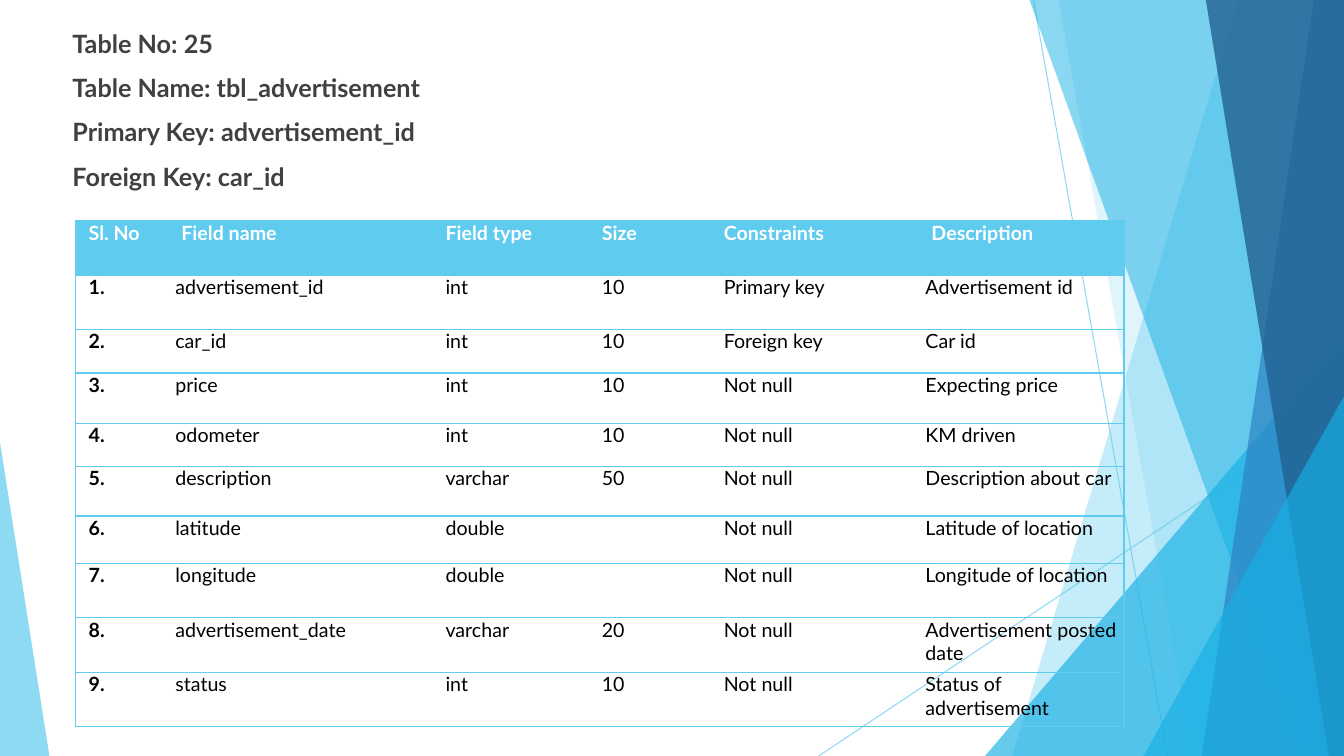
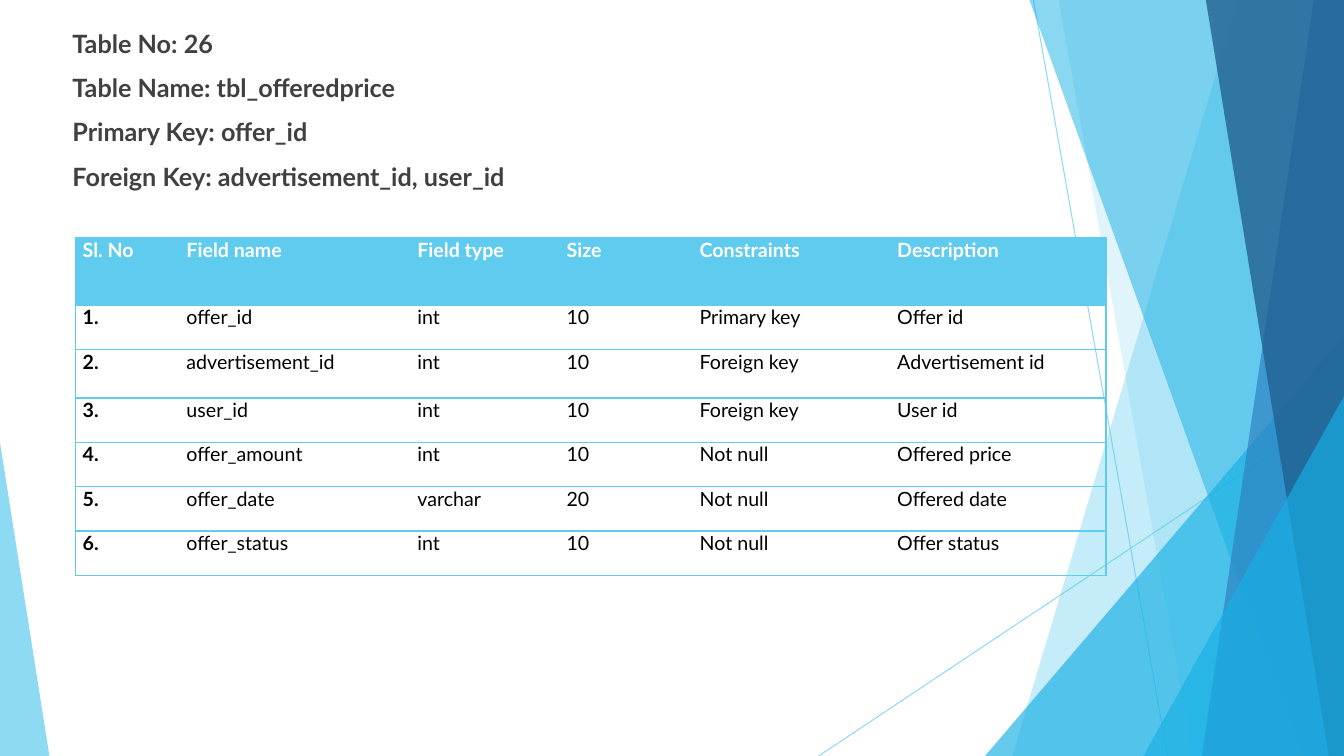
from dataclasses import dataclass

from lxml import etree
from pptx import Presentation
from pptx.dml.color import RGBColor
from pptx.enum.shapes import MSO_CONNECTOR, MSO_SHAPE
from pptx.enum.text import PP_ALIGN
from pptx.oxml.ns import qn
from pptx.util import Inches, Pt

STRAIGHT = MSO_CONNECTOR.STRAIGHT
TRIANGLE = MSO_SHAPE.ISOSCELES_TRIANGLE
LEFT, JUSTIFY = PP_ALIGN.LEFT, PP_ALIGN.JUSTIFY
PLAIN_TABLE_STYLE = "{2D5ABB26-0587-4C30-8999-92F81FD0307C}"
SLIDE_BOX = (0, 0, 13.33, 7.5)
HEADING_BOX = (0.62, 0.23, 11.29, 7.07)
HEADINGS = ("Sl. No", "Field name", "Field type", "Size", "Constraints", "Description")


@dataclass(frozen=True)
class Theme:
    sky: str = "5FCBEF"
    cyan: str = "17B0E4"
    blue: str = "2E83C3"
    navy: str = "226292"
    heading: str = "404040"
    body: str = "000000"
    white: str = "FFFFFF"
    font: str = "Lato"
    heading_size: float = 18
    table_size: float = 14
    paragraph_gap: float = 10
    border: float = 1
    hairline: float = 0.75


THEME = Theme()

# Start and end of each thin line
HAIRLINES = (((10.25, 0), (11.58, 7.5)), ((13.33, 4.03), (8.12, 7.5)))

# Back to front: a ribbon (top x, bottom x) runs to the right edge;
# a triangle (left, top, width, apex) stands on the bottom edge.
FACETS = (
    ("ribbon", (12.28, 10.04), THEME.sky, 36),
    ("ribbon", (10.5, 11.83), THEME.sky, 20),
    ("triangle", (9.77, 3.33, 3.56, 1), THEME.cyan, 66),
    ("ribbon", (10.21, 12.91), THEME.cyan, 50),
    ("ribbon", (13.03, 11.92), THEME.blue, 70),
    ("ribbon", (11.96, 13.18), THEME.navy, 80),
    ("triangle", (11.34, 3.93, 1.99, 1), THEME.cyan, 66),
    ("triangle", (0, 4.39, 0.49, 0), THEME.sky, 70),
)


@dataclass(frozen=True)
class TablePage:
    facts: dict
    box: tuple
    columns: tuple
    row_heights: tuple
    fields: tuple
    heading_indent: float = 0
    body_indents: tuple = (0,) * 6
    body_alignment: int = JUSTIFY


PAGES = (
    TablePage(
        facts={
            "Table No": "25",
            "Table Name": "tbl_advertisement",
            "Primary Key": "advertisement_id",
            "Foreign Key": "car_id",
        },
        box=(0.75, 2.19, 10.41, 5.04),
        columns=(0.92, 2.62, 1.55, 1.21, 2.06, 2.04),
        row_heights=(0.54, 0.54, 0.43, 0.5, 0.43, 0.49, 0.47, 0.54, 0.54, 0.54),
        fields=(
            ("advertisement_id", "int", "10", "Primary key", "Advertisement id"),
            ("car_id", "int", "10", "Foreign key", "Car id"),
            ("price", "int", "10", "Not null", "Expecting price"),
            ("odometer", "int", "10", "Not null", "KM driven"),
            ("description", "varchar", "50", "Not null", "Description about car"),
            ("latitude", "double", "", "Not null", "Latitude of location"),
            ("longitude", "double", "", "Not null", "Longitude of location"),
            ("advertisement_date", "varchar", "20", "Not null", "Advertisement posted date"),
            ("status", "int", "10", "Not null", "Status of advertisement"),
        ),
        heading_indent=0.06,
        body_indents=(0.06, 0, 0.06, 0.06, 0.06, 0),
        body_alignment=LEFT,
    ),
    TablePage(
        facts={
            "Table No": "26",
            "Table Name": "tbl_offeredprice",
            "Primary Key": "offer_id",
            "Foreign Key": "advertisement_id, user_id",
        },
        box=(0.75, 2.36, 10.23, 3.33),
        columns=(1.03, 2.29, 1.48, 1.32, 1.96, 2.14),
        row_heights=(0.67, 0.44, 0.48, 0.44, 0.44, 0.44, 0.44),
        fields=(
            ("offer_id", "int", "10", "Primary key", "Offer id"),
            ("advertisement_id", "int", "10", "Foreign key", "Advertisement id"),
            ("user_id", "int", "10", "Foreign key", "User id"),
            ("offer_amount", "int", "10", "Not null", "Offered price"),
            ("offer_date", "varchar", "20", "Not null", "Offered date"),
            ("offer_status", "int", "10", "Not null", "Offer status"),
        ),
    ),
)


def rgb(value):
    return RGBColor.from_string(value)


def set_opacity(shape, percent):
    for color in shape.element.iter(qn("a:srgbClr")):
        etree.SubElement(color, qn("a:alpha"), val=str(percent * 1000))


def add_span(para, text, size, color, bold):
    span = para.add_run()
    span.text = text
    formats = {"name": THEME.font, "size": Pt(size), "bold": bold}
    for name, value in formats.items():
        setattr(span.font, name, value)
    span.font.color.rgb = rgb(color)


def add_hairline(shapes, box, start, end):
    left, top = box[:2]
    ends = [Inches(offset + place) for point in (start, end)
            for offset, place in zip((left, top), point)]
    line = shapes.add_connector(STRAIGHT, *ends)
    line.line.color.rgb = rgb(THEME.sky)
    line.line.width = Pt(THEME.hairline)
    set_opacity(line, 70)
    etree.SubElement(line.element.spPr, qn("a:effectLst"))


def add_ribbon(shapes, box, top_x, bottom_x):
    left, top, width, height = box
    corners = [(left + top_x, top), (left + width, top),
               (left + width, top + height), (left + bottom_x, top + height)]
    points = [(Inches(x), Inches(y)) for x, y in corners]
    builder = shapes.build_freeform(*points[0], scale=1.0)
    builder.add_line_segments(points[1:], close=True)
    return builder.convert_to_shape()


def add_triangle(shapes, box, x, y, width, apex):
    left, top, _, height = box
    bounds = (left + x, top + y, width, height - y)
    triangle = shapes.add_shape(TRIANGLE, *map(Inches, bounds))
    triangle.adjustments[0] = apex
    return triangle


def add_backdrop(page, box):
    shapes = page.shapes.add_group_shape().shapes
    for start, end in HAIRLINES:
        add_hairline(shapes, box, start, end)
    builders = {"ribbon": add_ribbon, "triangle": add_triangle}
    for kind, geometry, color, opacity in FACETS:
        facet = builders[kind](shapes, box, *geometry)
        facet.shadow.inherit = False
        facet.fill.solid()
        facet.fill.fore_color.rgb = rgb(color)
        facet.line.fill.background()
        set_opacity(facet, opacity)


def add_heading(page, box, facts):
    frame = page.shapes.add_textbox(*map(Inches, box)).text_frame
    frame.word_wrap = True
    for index, (label, value) in enumerate(facts.items()):
        para = frame.add_paragraph() if index else frame.paragraphs[0]
        para.space_before = Pt(THEME.paragraph_gap if index else 0)
        add_span(para, f"{label}: {value}", THEME.heading_size, THEME.heading, True)


def add_borders(cell, sides):
    """Draw the given sides, which must be in the order L, R, T, B."""
    properties = cell._tc.get_or_add_tcPr()
    for side in sides:
        line = etree.SubElement(properties, qn(f"a:ln{side}"), w=str(Pt(THEME.border)))
        fill = etree.SubElement(line, qn("a:solidFill"))
        etree.SubElement(fill, qn("a:srgbClr"), val=THEME.sky)


def fill_cell(cell, text, color, bold, indent, alignment):
    margins = {"margin_left": 0.07, "margin_right": 0.07, "margin_top": 0, "margin_bottom": 0}
    for name, value in margins.items():
        setattr(cell, name, Inches(value))
    para = cell.text_frame.paragraphs[0]
    para.alignment = alignment
    para._p.get_or_add_pPr().set("indent", str(Inches(indent)))
    if text:
        add_span(para, text, THEME.table_size, color, bold)


def add_field_table(page, content):
    rows = [HEADINGS]
    rows += [(f"{number}.", *field) for number, field in enumerate(content.fields, 1)]
    frame = page.shapes.add_table(len(rows), len(HEADINGS), *map(Inches, content.box))
    for style in frame.element.iter(qn("a:tableStyleId")):
        style.text = PLAIN_TABLE_STYLE
    table = frame.table
    table.horz_banding = False
    for column, width in zip(table.columns, content.columns):
        column.width = Inches(width)
    for row, height in zip(table.rows, content.row_heights):
        row.height = Inches(height)
    last = len(HEADINGS) - 1
    for row_index, texts in enumerate(rows):
        is_heading = row_index == 0
        for column_index, text in enumerate(texts):
            cell = table.cell(row_index, column_index)
            sides = {0: "LTB", last: "RTB"}.get(column_index, "TB")
            add_borders(cell, sides)
            if is_heading:
                cell.fill.solid()
                cell.fill.fore_color.rgb = rgb(THEME.sky)
                fill_cell(cell, text, THEME.white, True, content.heading_indent, JUSTIFY)
            else:
                cell.fill.background()
                fill_cell(cell, text, THEME.body, column_index == 0,
                          content.body_indents[column_index], content.body_alignment)


def add_table_page(deck, content):
    page = deck.slides.add_slide(deck.slide_layouts[6])
    add_backdrop(page, SLIDE_BOX)
    add_heading(page, HEADING_BOX, content.facts)
    add_field_table(page, content)


def main():
    deck = Presentation()
    deck.slide_width, deck.slide_height = map(Inches, SLIDE_BOX[2:])
    for content in PAGES:
        add_table_page(deck, content)
    deck.save("out.pptx")


if __name__ == "__main__":
    main()
